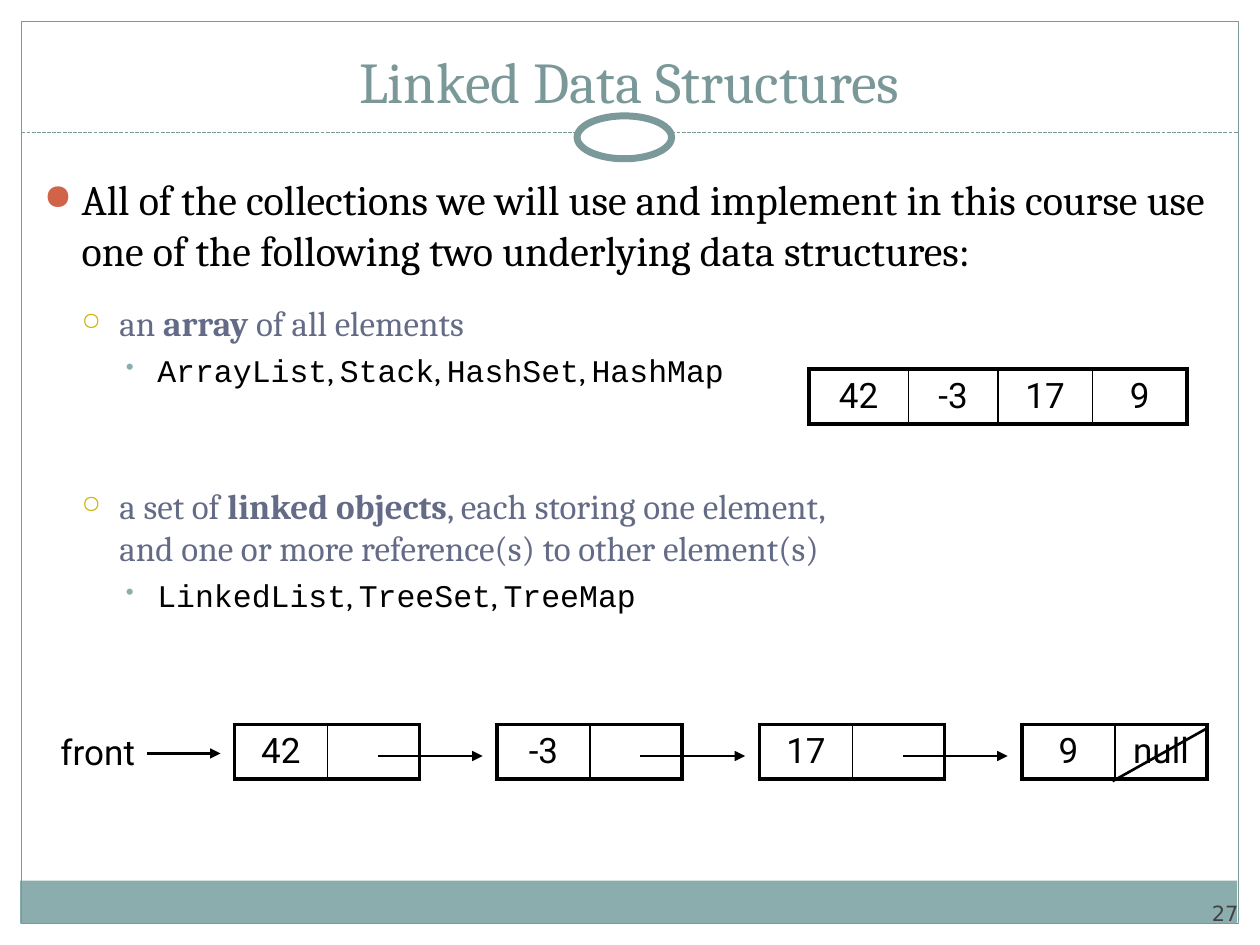
from dataclasses import dataclass

from lxml import etree
from pptx import Presentation
from pptx.dml import color
from pptx.enum import dml, shapes, text
from pptx.oxml import ns
from pptx.util import Inches, Pt


@dataclass(frozen=True)
class Theme:
    """Colours, fonts and type sizes of the page."""
    ink: str = "000000"
    frame: str = "7C999A"
    title: str = "7B9899"
    band: str = "8CADAE"
    topic: str = "646B86"
    number: str = "424242"
    serif: str = "Cambria"
    code: str = "Courier New"
    sans: str = "Roboto"
    number_font: str = "DejaVu Sans"
    title_size: float = 33
    lead_size: float = 24
    topic_size: float = 20
    class_size: float = 18
    number_size: float = 12
    thick: float = 2.25
    thin: float = 1


THEME = Theme()
BULLETS = (("●", "D16349", 85), ("○", "CCB400", 70), ("•", "8CADAE", 75))
INDENTS = ((0.3, 0.3), (0.6, 0.3), (0.9, 0.25))
NODE_STEP = 6.25 / 3
NODE_TOP = 5.75


def rgb(value):
    """Turn a hex string into a colour."""
    return color.RGBColor.from_string(value)


def add_xml(parent, tag, **attributes):
    """Append a DrawingML element and return it."""
    return etree.SubElement(parent, ns.qn("a:" + tag), attributes)


def write(para, words, *, size, font, tint=THEME.ink, bold=False):
    """Add formatted words to a paragraph, breaking at newlines."""
    for index, line in enumerate(words.split("\n")):
        if index:
            para.add_line_break()
        span = para.add_run()
        span.text = line
        span.font.size, span.font.name, span.font.bold = Pt(size), font, bold
        span.font.color.rgb = rgb(tint)


def add_box(page, area, anchor=text.MSO_ANCHOR.TOP, wrap=True):
    """Add a text box and return its frame."""
    frame = page.shapes.add_textbox(*map(Inches, area)).text_frame
    frame.word_wrap, frame.vertical_anchor = wrap, anchor
    return frame


def add_label(page, area, words, align, anchor, wrap=True, margin=None, **style):
    """Add a text box holding one line."""
    frame = add_box(page, area, anchor, wrap)
    if margin is not None:
        frame.margin_left = frame.margin_right = Inches(margin)
        frame.margin_top = frame.margin_bottom = Inches(margin)
    frame.paragraphs[0].alignment = align
    write(frame.paragraphs[0], words, **style)


def add_shape(page, kind, area, fill=None, line=None, width=0.75):
    """Add a preset shape with an optional fill and outline."""
    shape = page.shapes.add_shape(kind, *map(Inches, area))
    shape.shadow.inherit = False
    for paint, tint in ((shape.fill, fill), (shape.line.fill, line)):
        if tint:
            paint.solid()
            paint.fore_color.rgb = rgb(tint)
        else:
            paint.background()
    if line:
        shape.line.width = Pt(width)


def add_line(page, start, end, tint=THEME.ink, width=1.5, arrow=False, dash=None):
    """Add a straight line, optionally dashed or with an arrowhead."""
    line = page.shapes.add_connector(
        shapes.MSO_CONNECTOR.STRAIGHT, *map(Inches, (*start, *end)))
    line.line.color.rgb, line.line.width = rgb(tint), Pt(width)
    if dash:
        line.line.dash_style = dash
    if arrow:
        add_xml(line.line._get_or_add_ln(), "tailEnd", type="triangle")
    add_xml(line._element.spPr, "effectLst")


def add_bullet(para, level):
    """Give a paragraph the indent and bullet of its level."""
    char, tint, percent = BULLETS[level]
    left, hang = INDENTS[level]
    para.level = level
    props = para._p.get_or_add_pPr()
    props.set("marL", str(Inches(left)))
    props.set("indent", str(-Inches(hang)))
    add_xml(add_xml(props, "buClr"), "srgbClr", val=tint)
    add_xml(props, "buSzPct", val=str(percent * 1000))
    add_xml(props, "buChar", char=char)


def add_topic(para, before, bold, after, gap):
    """Write a second-level point with its key term in bold."""
    add_bullet(para, 1)
    para.space_before = Pt(gap)
    for words, strong in ((before, False), (bold, True), (after, False)):
        write(para, words, size=THEME.topic_size, font=THEME.serif,
              tint=THEME.topic, bold=strong)


def add_classes(para, names):
    """Write a third-level list of class names."""
    add_bullet(para, 2)
    para.space_before = Pt(4)
    for index, name in enumerate(names):
        if index:
            write(para, ", ", size=THEME.class_size, font=THEME.serif)
        write(para, name, size=THEME.class_size, font=THEME.code)


def set_borders(cell, widths):
    """Draw the left, right, top and bottom borders of a cell."""
    props = cell._tc.get_or_add_tcPr()
    for index, (side, width) in enumerate(zip(("lnL", "lnR", "lnT", "lnB"), widths)):
        border = etree.Element(ns.qn("a:" + side), w=str(Pt(width)))
        add_xml(add_xml(border, "solidFill"), "srgbClr", val=THEME.ink)
        props.insert(index, border)


def add_cells(page, left, top, columns, values):
    """Add a one-row table of values inside a thick outline."""
    table = page.shapes.add_table(
        1, len(values), *map(Inches, (left, top, sum(columns), 0.43))).table
    table.first_row = table.horz_banding = False
    last = len(values) - 1
    for index, (width, value) in enumerate(zip(columns, values)):
        table.columns[index].width = Inches(width)
        cell = table.cell(0, index)
        cell.fill.background()
        set_borders(cell, (THEME.thin if index else THEME.thick,
                           THEME.thin if index < last else THEME.thick,
                           THEME.thick, THEME.thick))
        if value:
            para = cell.text_frame.paragraphs[0]
            para.alignment = text.PP_ALIGN.CENTER
            write(para, value, size=THEME.topic_size, font=THEME.sans)


def add_decor(page):
    """Draw the frame, footer band, title rule and ring."""
    rect, oval = shapes.MSO_SHAPE.RECTANGLE, shapes.MSO_SHAPE.OVAL
    add_shape(page, rect, (0.16, 6.99, 9.66, 0.34), fill=THEME.band)
    add_shape(page, rect, (0.17, 0.17, 9.66, 7.16), line=THEME.frame)
    add_line(page, (0.17, 1.05), (9.83, 1.05), THEME.frame, 0.75,
             dash=dml.MSO_LINE.SQUARE_DOT)
    add_shape(page, oval, (4.58, 0.92, 0.75, 0.34), "FFFFFF", THEME.frame, 4)


def add_body(page):
    """Write the bulleted outline."""
    frame = add_box(page, (0.25, 1.33, 9.5, 5.58))
    lead = frame.paragraphs[0]
    add_bullet(lead, 0)
    write(lead, "All of the collections we will use and implement in this course use "
          "one of the following two underlying data structures:",
          size=THEME.lead_size, font=THEME.serif)
    add_topic(frame.add_paragraph(), "an ", "array", " of all elements", 15.5)
    add_classes(frame.add_paragraph(), ("ArrayList", "Stack", "HashSet", "HashMap"))
    add_topic(frame.add_paragraph(), "a set of ", "linked objects",
              ", each storing one element,\n"
              "and one or more reference(s) to other element(s)", 55)
    add_classes(frame.add_paragraph(), ("LinkedList", "TreeSet", "TreeMap"))


def add_linked_list(page, values):
    """Draw the chain of nodes from the front reference to null."""
    add_label(page, (0.38, NODE_TOP, 0.79, 0.43), "front", text.PP_ALIGN.RIGHT,
              text.MSO_ANCHOR.TOP, wrap=False, size=THEME.topic_size, font=THEME.sans)
    add_line(page, (1.17, 5.98), (1.75, 5.98), arrow=True)
    last = len(values) - 1
    for index, value in enumerate(values):
        shift = index * NODE_STEP
        add_cells(page, 1.86 + shift, NODE_TOP, (0.74, 0.73),
                  (value, "null" if index == last else ""))
        if index < last:
            add_line(page, (3 + shift, 6), (3.83 + shift, 6), arrow=True)
    add_line(page, (9.58, 5.78), (8.83, 6.2))


def main():
    """Build the page and save the deck."""
    deck = Presentation()
    deck.slide_width, deck.slide_height = Inches(10), Inches(7.5)
    page = deck.slides.add_slide(deck.slide_layouts[6])
    values = ("42", "-3", "17", "9")
    add_decor(page)
    add_label(page, (9, 6.95, 0.83, 0.4), "27", text.PP_ALIGN.RIGHT,
              text.MSO_ANCHOR.BOTTOM, margin=0, size=THEME.number_size,
              font=THEME.number_font, tint=THEME.number)
    add_label(page, (0.33, 0.25, 9.33, 0.71), "Linked Data Structures",
              text.PP_ALIGN.CENTER, text.MSO_ANCHOR.BOTTOM,
              size=THEME.title_size, font=THEME.serif, tint=THEME.title)
    add_body(page)
    add_cells(page, 6.42, 2.93, (0.79, 0.71, 0.75, 0.75), values)
    add_linked_list(page, values)
    deck.save("out.pptx")


if __name__ == "__main__":
    main()
